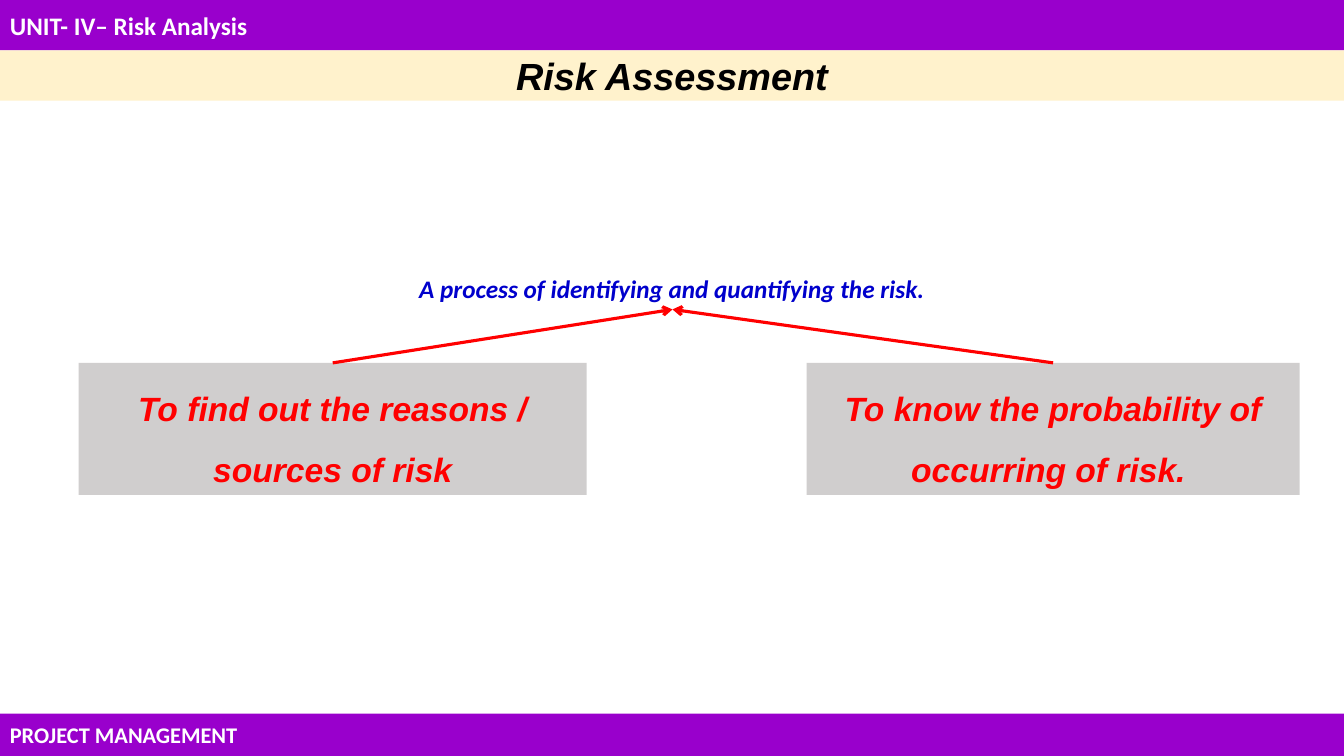
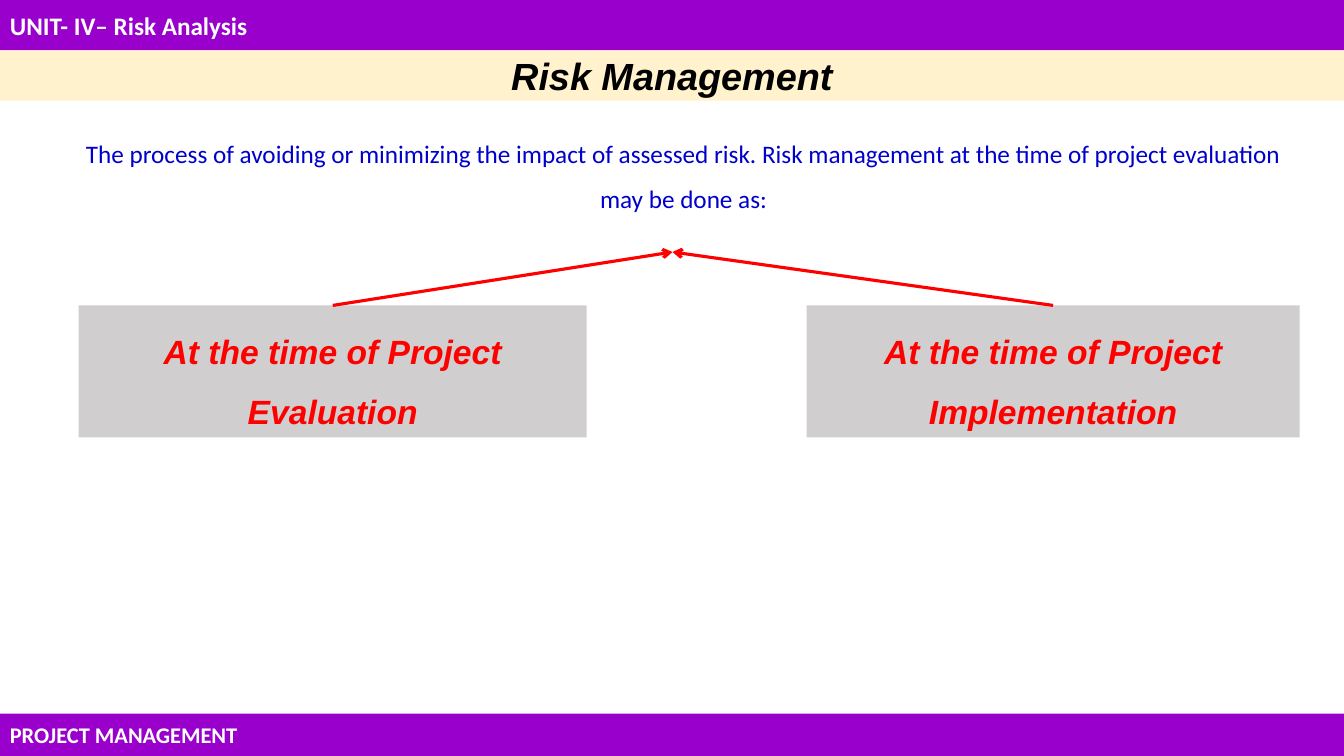
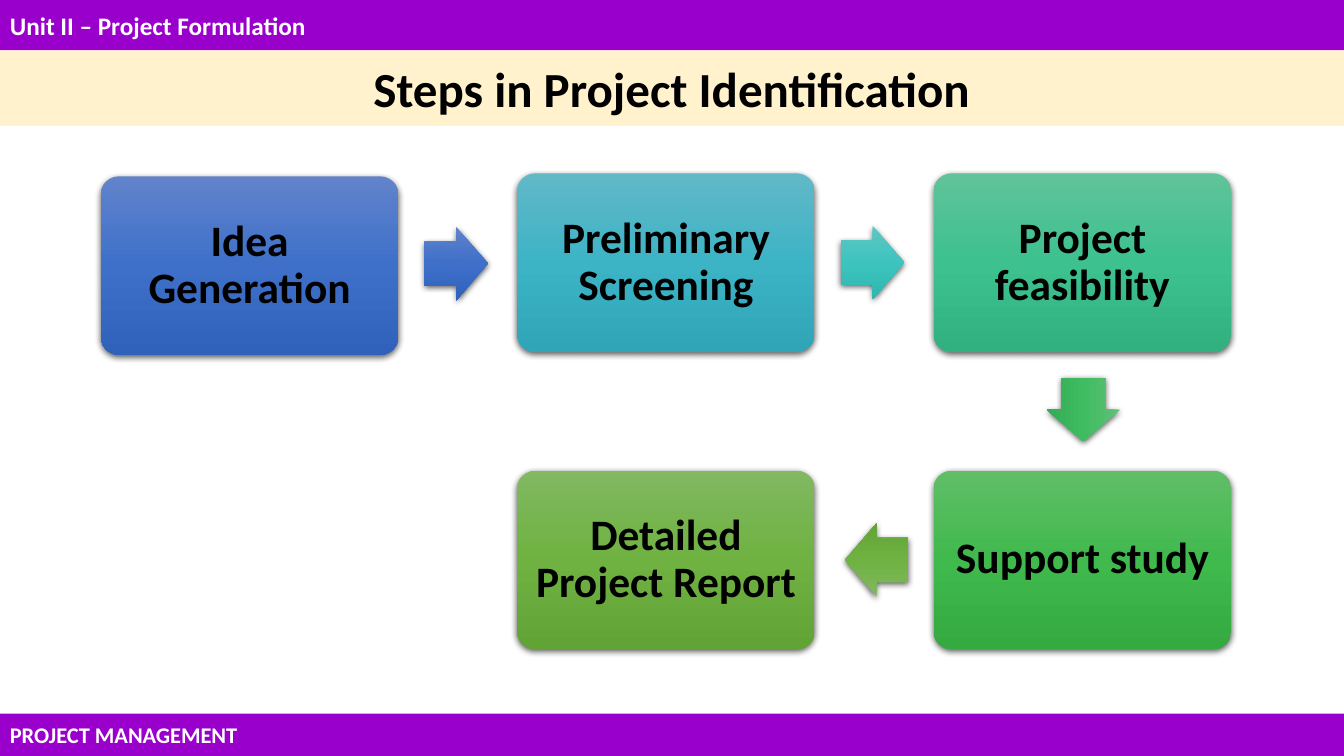
from pptx import Presentation
from pptx.dml.color import RGBColor
from pptx.enum.shapes import MSO_CONNECTOR, MSO_SHAPE
from pptx.enum.text import MSO_ANCHOR, PP_ALIGN
from pptx.oxml import parse_xml
from pptx.oxml.ns import nsdecls
from pptx.util import Inches, Pt

PURPLE = RGBColor(0x99, 0x00, 0xCC)
CREAM = RGBColor(0xFF, 0xF2, 0xCC)
GRAY = RGBColor(0xD0, 0xCE, 0xCE)
WHITE = RGBColor(0xFF, 0xFF, 0xFF)
BLACK = RGBColor(0x00, 0x00, 0x00)
BLUE = RGBColor(0x00, 0x00, 0xCC)
RED = RGBColor(0xFF, 0x00, 0x00)
# Gradients: top, middle, bottom
ROYAL = ("6183CB", "3E70CA", "3062BB")
CYAN = ("61B8C7", "3DB4C6", "30A5B7")
TEAL = ("60C6C1", "3DC4BF", "30B5B0")
MINT = ("60C39A", "3DC18F", "31B080")
JADE = ("60C077", "3FBC62", "33AC55")
GREEN = ("60BE68", "40B94D", "34AA41")
OLIVE = ("81B861", "6FB242", "62A336")
WIDE, HIGH = 13.33, 7.5


def draw(slide, kind, x, y, w, h, fill):
    """Add a shape; a tuple of fills makes a gradient with a soft shadow."""
    shape = slide.shapes.add_shape(kind, Inches(x), Inches(y), Inches(w), Inches(h))
    shape.line.fill.background()
    shape.shadow.inherit = False
    if isinstance(fill, RGBColor):
        shape.fill.solid()
        shape.fill.fore_color.rgb = fill
        return shape
    props = shape.element.spPr
    stops = "".join(f'<a:gs pos="{n * 50000}"><a:srgbClr val="{tone}"/></a:gs>'
                    for n, tone in enumerate(fill))
    props.insert(2, parse_xml(
        f'<a:gradFill {nsdecls("a")} rotWithShape="1"><a:gsLst>{stops}</a:gsLst>'
        '<a:lin ang="5400000" scaled="0"/></a:gradFill>'))
    props[-1].append(parse_xml(
        f'<a:outerShdw {nsdecls("a")} blurRad="57150" dist="19050" dir="5400000" '
        'algn="ctr" rotWithShape="0"><a:srgbClr val="000000">'
        '<a:alpha val="63000"/></a:srgbClr></a:outerShdw>'))
    return shape


def write(shape, text, size, color, font="Calibri", bold=True, slant=False,
          align=PP_ALIGN.CENTER, space=1.0, anchor=MSO_ANCHOR.MIDDLE):
    """Put one styled paragraph into a shape."""
    frame = shape.text_frame
    frame.word_wrap = True
    frame.vertical_anchor = anchor
    para = frame.paragraphs[0]
    para.alignment = align
    para.line_spacing = space
    run = para.add_run()
    run.text = text
    run.font.size = Pt(size)
    run.font.name = font
    run.font.bold = bold
    run.font.italic = slant
    run.font.color.rgb = color


deck = Presentation()
deck.slide_width, deck.slide_height = Inches(WIDE), Inches(HIGH)

# Bands on every slide
RISK = "UNIT- IV– Risk Analysis"
heads = [
    (RISK, "Risk Assessment", 0.5, 27, "Arial", True),
    (RISK, "Risk Management", 0.5, 27, "Arial", True),
    ("Unit II – Project Formulation", "Steps in Project Identification",
     0.75, 35, "Calibri", False),
]
slides = []
for unit, title, tall, size, font, slant in heads:
    slide = deck.slides.add_slide(deck.slide_layouts[6])
    slides.append(slide)
    for text, y, h, points in ((unit, 0, 0.5, 18),
                               ("PROJECT MANAGEMENT", HIGH - 0.42, 0.42, 16)):
        band = draw(slide, MSO_SHAPE.RECTANGLE, 0, y, WIDE, h, PURPLE)
        write(band, text, points, WHITE, align=PP_ALIGN.LEFT)
    band = draw(slide, MSO_SHAPE.RECTANGLE, 0, 0.5, WIDE, tall, CREAM)
    write(band, title, size, BLACK, font, slant=slant)

# Risk slides: a statement with two boxes pointing up to it
risks = [
    ("A process of identifying and quantifying the risk.",
     (1, 2.51, 11.33, 0.56), True, 3.6,
     ("To find out the reasons / sources of risk",
      "To know the probability of occurring of risk. ")),
    ("The process of avoiding or minimizing the impact of assessed risk. "
     "Risk management at the time of project evaluation may be done as:",
     (0.56, 1.17, 12.44, 1.01), False, 3.03,
     ("At the time of Project Evaluation",
      "At the time of Project Implementation")),
]
for slide, (text, place, strong, top, parts) in zip(slides, risks):
    note = slide.shapes.add_textbox(*[Inches(n) for n in place])
    write(note, text, 18, BLUE, bold=strong, slant=strong, space=1.5,
          anchor=MSO_ANCHOR.TOP)
    for part, x, w in zip(parts, (0.78, 8), (5.04, 4.89)):
        box = draw(slide, MSO_SHAPE.RECTANGLE, x, top, w, 1.31, GRAY)
        write(box, part, 24, RED, "Arial", slant=True, space=1.5,
              anchor=MSO_ANCHOR.TOP)
        link = slide.shapes.add_connector(
            MSO_CONNECTOR.STRAIGHT, Inches(x + w / 2), Inches(top),
            Inches(6.67), Inches(top - 0.53))
        link.begin_connect(box, 0)
        link.line.color.rgb = RED
        link.line.width = Pt(2.25)
        link.get_or_add_ln().append(
            parse_xml(f'<a:tailEnd {nsdecls("a")} type="arrow"/>'))
        link.element.spPr.append(parse_xml(f'<a:effectLst {nsdecls("a")}/>'))

# Steps slide: rounded boxes on a grid of three columns
steps = [
    ("Idea Generation", 0, 1.75, ROYAL),
    ("Preliminary Screening", 1, 1.72, CYAN),
    ("Project feasibility", 2, 1.72, MINT),
    ("Support study", 2, 4.67, GREEN),
    ("Detailed Project Report", 1, 4.67, OLIVE),
]
for text, col, y, fill in steps:
    box = draw(slides[2], MSO_SHAPE.ROUNDED_RECTANGLE, 1 + 4.13 * col, y,
               2.95, 1.77, fill)
    box.adjustments[0] = 0.1
    frame = box.text_frame
    frame.margin_left = frame.margin_right = Inches(0.13)
    frame.margin_top = frame.margin_bottom = Inches(0.13)
    write(box, text, 31, BLACK, space=0.9)

# Arrows between the steps
for x, y, turn, fill in ((4.21, 2.25, 359.7, ROYAL), (8.34, 2.24, 0, TEAL),
                         (10.43, 3.7, 90, JADE), (8.38, 5.19, 180, OLIVE)):
    arrow = draw(slides[2], MSO_SHAPE.RIGHT_ARROW, x, y, 0.63, 0.73, fill)
    arrow.adjustments[0], arrow.adjustments[1] = 0.6, 0.5
    arrow.rotation = turn

deck.save("out.pptx")
